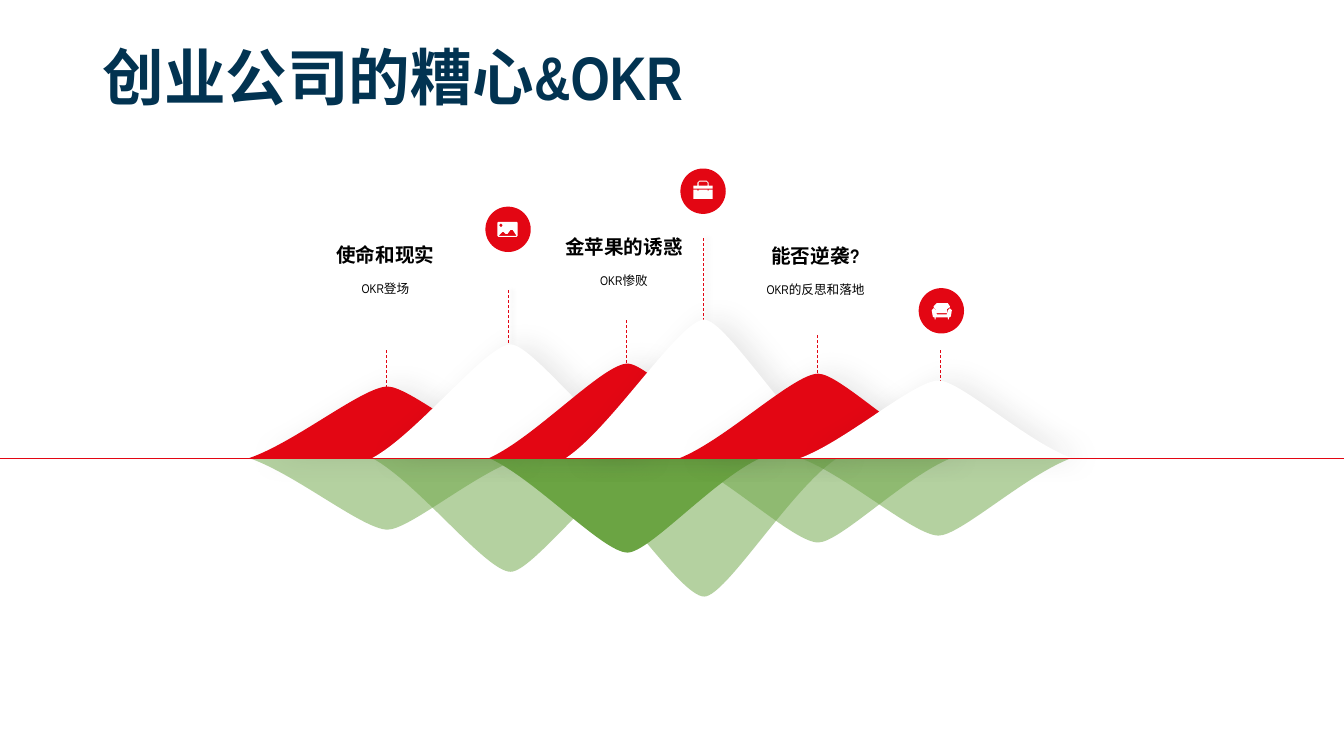
import lxml.etree
import pptx
import pptx.dml.color
import pptx.enum.dml
import pptx.enum.shapes
import pptx.enum.text
import pptx.oxml.ns
import pptx.util

Pt = pptx.util.Pt
NAVY, RED, GREEN, WHITE, BLACK = "023351", "E30613", "6BA443", "FFFFFF", "000000"
FONT = "Arial Narrow"
SLIDE_WIDTH, SLIDE_HEIGHT = 960, 540
HORIZON_Y = 327.2
PEAK_WIDTH = 193.8
PEAK_CURVE = [(0, 0), (0.17, 0.22), (0.42, 1), (0.51, 1), (0.59, 1), (0.83, 0.22), (1, 0)]
ICON_UNIT = 0.72
BADGE_SIZE = 32.4

PEAKS = [
    (178, 51.1, RED, 50),
    (265.9, 81.2, WHITE, 50),
    (349.4, 67.5, RED, 100),
    (404.2, 98.9, WHITE, 50),
    (485.6, 60.3, RED, 50),
    (571.6, 55.4, WHITE, 50),
]
STEMS = [
    (275.9, 248.8, 0, False),
    (447.3, 228.2, 0, False),
    (583.8, 238.2, 0, False),
    (671.6, 248.8, 0, False),
    (363, 206.3, 0, True),
    (502.4, 168.8, 1.5, True),
]

PHOTO = [
    [(13, 15), (31, 15), (32, 16), (32, 29), (31, 30), (13, 30), (12, 29), (12, 16)],
    [(13, 29), (17, 25), (18, 25), (20, 27), (22, 27), (25, 23), (27, 23), (31, 29)],
    [(15, 17), (16, 17), (17, 18), (17, 19), (16, 20), (15, 20), (14, 19), (14, 18)],
]
BRIEFCASE = [
    [(13, 21), (17, 21), (17, 22), (18, 22), (18, 21), (27, 21), (27, 22), (28, 22),
     (28, 21), (32, 21), (32, 30), (13, 30)],
    [(13, 20), (13, 17), (17, 17), (17, 14), (19, 12), (26, 12), (28, 14), (28, 17),
     (32, 17), (32, 20)],
    [(18, 17), (18, 14), (19, 13), (26, 13), (27, 14), (27, 17)],
]
SOFA = [
    [(31, 20), (33, 22), (32, 28), (31, 29), (30, 29), (30, 31), (29, 31), (29, 29),
     (17, 29), (17, 31), (16, 31), (16, 29), (15, 29), (14, 28), (13, 22), (15, 20),
     (17, 22), (18, 26), (28, 26), (29, 22)],
    [(29, 15), (31, 18), (31, 19), (28, 21), (28, 25), (18, 25), (17, 21), (15, 19),
     (15, 18), (18, 15)],
]
BADGES = [(656.2, 205.8, SOFA), (486, 120.4, BRIEFCASE), (346.7, 147.6, PHOTO)]

CAPTIONS = [
    (213.8, 170, "使命和现实", "OKR登场"),
    (384.2, 164.2, "金苹果的诱惑", "OKR惨败"),
    (521, 170.5, "能否逆袭?", "OKR的反思和落地"),
]


def color(value):
    return pptx.dml.color.RGBColor.from_string(value)


def add_child(parent, tag, **attributes):
    child = lxml.etree.SubElement(parent, pptx.oxml.ns.qn(tag))
    for name, value in attributes.items():
        child.set(name, str(value))
    return child


def cast_shadow(properties, tint, alpha, blur, distance):
    for effects in properties.findall(pptx.oxml.ns.qn("a:effectLst")):
        properties.remove(effects)
    shadow = add_child(add_child(properties, "a:effectLst"), "a:outerShdw",
                       blurRad=Pt(blur), dist=Pt(distance), dir=0, algn="ctr", rotWithShape=0)
    add_child(add_child(shadow, "a:srgbClr", val=tint), "a:alpha", val=alpha * 1000)


def paint(shape, fill, opacity=100):
    shape.shadow.inherit = False
    shape.fill.solid()
    shape.fill.fore_color.rgb = color(fill)
    shape.line.fill.background()
    if opacity < 100:
        tint = shape._element.spPr.find(".//" + pptx.oxml.ns.qn("a:srgbClr"))
        add_child(tint, "a:alpha", val=opacity * 1000)
    return shape


def add_outline(shapes, contours, fill, opacity=100):
    scaled = [[(Pt(x), Pt(y)) for x, y in contour] for contour in contours]
    builder = shapes.build_freeform(*scaled[0][0], scale=1.0)
    builder.add_line_segments(scaled[0][1:], close=True)
    for contour in scaled[1:]:
        builder.move_to(*contour[0])
        builder.add_line_segments(contour[1:], close=True)
    return paint(builder.convert_to_shape(), fill, opacity)


def add_text(shapes, text, left, top, width, height, size, ink=BLACK, bold=False,
             align="LEFT", anchor="TOP", spacing=1.0):
    frame = shapes.add_textbox(Pt(left), Pt(top), Pt(width), Pt(height)).text_frame
    frame.word_wrap = True
    frame.vertical_anchor = getattr(pptx.enum.text.MSO_ANCHOR, anchor)
    paragraph = frame.paragraphs[0]
    paragraph.alignment = getattr(pptx.enum.text.PP_ALIGN, align)
    paragraph.line_spacing = spacing
    run = paragraph.add_run()
    run.text = text
    run.font.name, run.font.size, run.font.bold = FONT, Pt(size), bold
    run.font.color.rgb = color(ink)


def add_rule(shapes, x1, y1, x2, y2, dashed=False, shadowed=False):
    rule = shapes.add_connector(
        pptx.enum.shapes.MSO_CONNECTOR.STRAIGHT, Pt(x1), Pt(y1), Pt(x2), Pt(y2))
    rule.line.color.rgb = color(RED)
    rule.line.width = Pt(0.5)
    if dashed:
        rule.line.dash_style = pptx.enum.dml.MSO_LINE.DASH
    properties = rule._element.spPr
    if shadowed:
        cast_shadow(properties, BLACK, 23, 3, 3)
    else:
        add_child(properties, "a:effectLst")


def round_slopes(peak):
    segments = list(peak._element.spPr.iter(pptx.oxml.ns.qn("a:lnTo")))
    for first in (0, 3):
        curve = lxml.etree.Element(pptx.oxml.ns.qn("a:cubicBezTo"))
        segments[first].addprevious(curve)
        for segment in segments[first:first + 3]:
            curve.append(segment[0])
            segment.getparent().remove(segment)


def add_peak(shapes, left, base, width, rise, fill, opacity=100):
    contour = [(left + x * width, base - y * rise) for x, y in PEAK_CURVE]
    peak = add_outline(shapes, [contour], fill, opacity)
    round_slopes(peak)
    return peak


def add_badge(shapes, left, top, size, icon):
    badge = shapes.add_group_shape().shapes
    disc = badge.add_shape(
        pptx.enum.shapes.MSO_SHAPE.OVAL, Pt(left), Pt(top), Pt(size), Pt(size))
    paint(disc, RED)
    contours = [[(left + x * ICON_UNIT, top + y * ICON_UNIT) for x, y in contour]
                for contour in icon]
    add_outline(badge, contours, WHITE)


def add_caption(shapes, left, top, width, heading, detail):
    caption = shapes.add_group_shape().shapes
    add_text(caption, heading, left, top, width, 36.7, size=14, bold=True, align="CENTER")
    add_text(caption, detail, left, top + 22, width, 50.4, size=9, align="CENTER", spacing=1.5)


def add_landscape(shapes, left, base, width):
    reflections = shapes.add_group_shape().shapes
    for peak_left, height, _, opacity in PEAKS:
        add_peak(reflections, left + peak_left, base, PEAK_WIDTH, -height, GREEN, opacity)
    for badge_left, badge_top, icon in BADGES:
        add_badge(shapes, left + badge_left, badge_top, BADGE_SIZE, icon)
    for stem_x, stem_top, lift, shadowed in STEMS:
        add_rule(shapes, left + stem_x, base - lift, left + stem_x, stem_top,
                 dashed=True, shadowed=shadowed)
    for peak_left, height, fill, _ in PEAKS:
        peak = add_peak(shapes, left + peak_left, base, PEAK_WIDTH, height, fill)
        cast_shadow(peak._element.spPr, "262626", 10, 20, 10)
    for caption_left, caption_top, heading, detail in CAPTIONS:
        add_caption(shapes, left + caption_left, caption_top, 123, heading, detail)
    add_rule(shapes, left, base, left + width, base)


def main():
    deck = pptx.Presentation()
    deck.slide_width, deck.slide_height = Pt(SLIDE_WIDTH), Pt(SLIDE_HEIGHT)
    slide = deck.slides.add_slide(deck.slide_layouts[6])
    add_text(slide.shapes, "创业公司的糟心&OKR", 66.2, 28.8, 828, 57.6, size=44, ink=NAVY,
             bold=True, anchor="MIDDLE", spacing=0.9)
    add_landscape(slide.shapes, 0, HORIZON_Y, SLIDE_WIDTH)
    deck.save("out.pptx")


if __name__ == "__main__":
    main()
